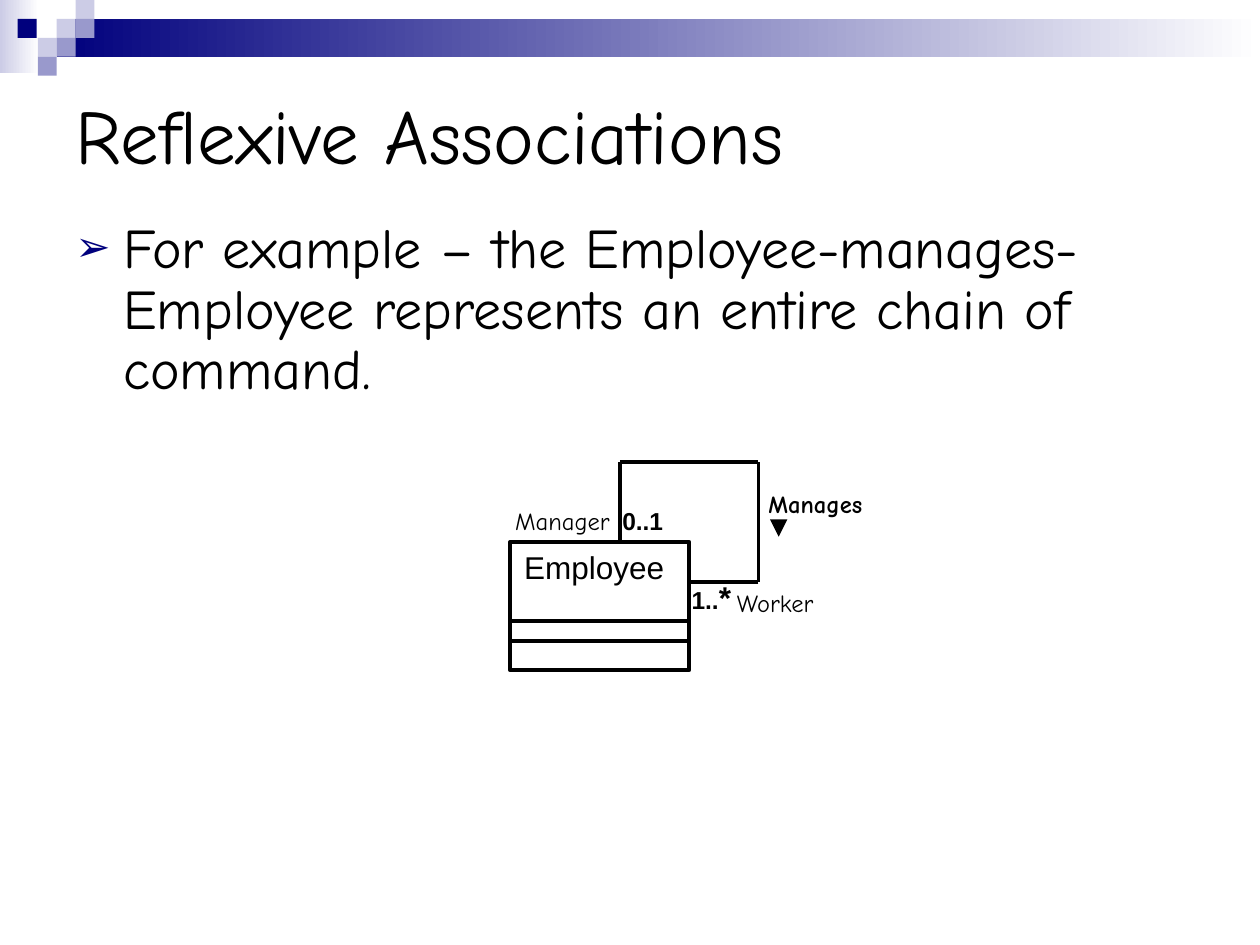
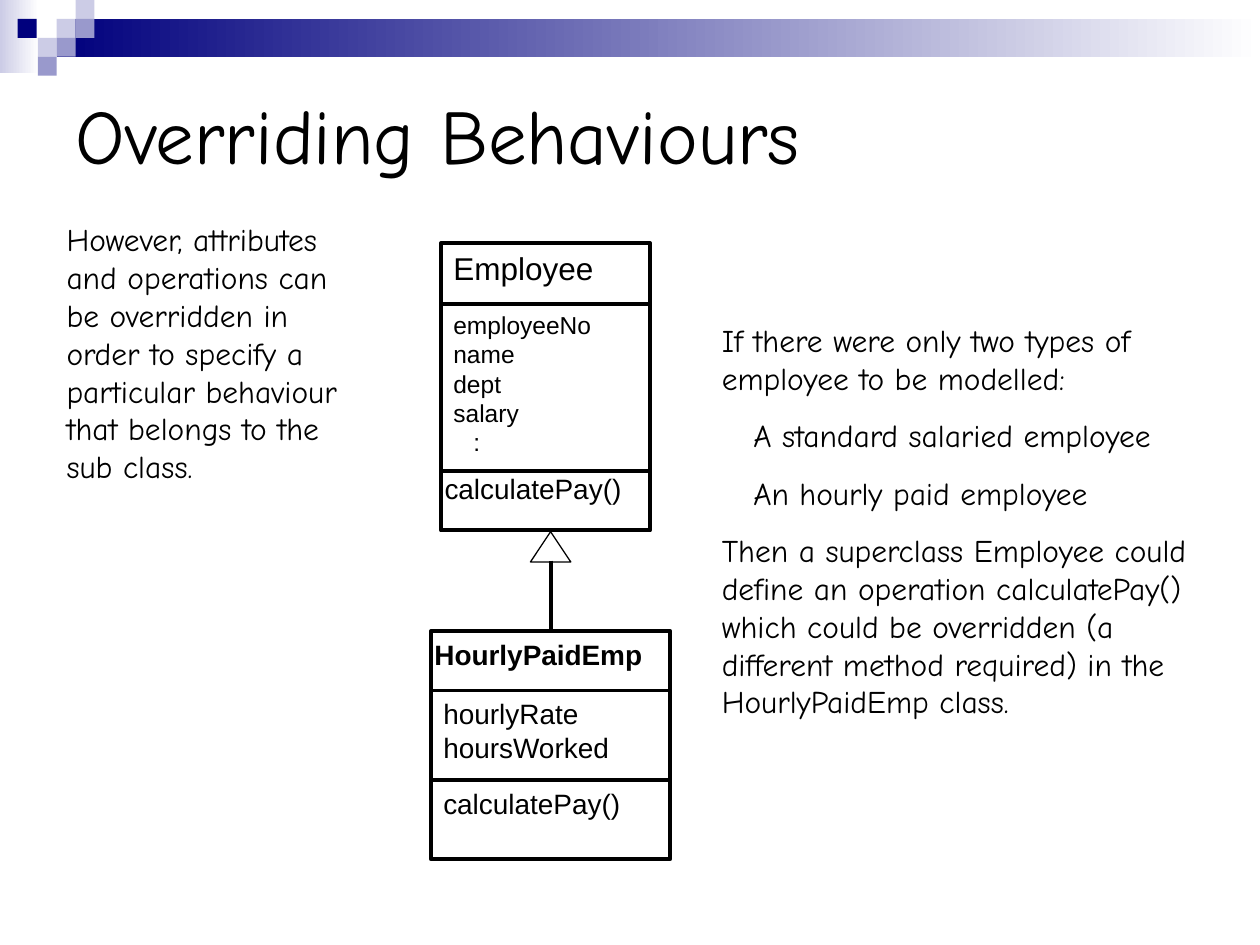
from lxml import etree
from pptx import Presentation
from pptx.dml.color import RGBColor
from pptx.enum.shapes import MSO_CONNECTOR, MSO_SHAPE
from pptx.enum.text import MSO_ANCHOR, MSO_AUTO_SIZE, PP_ALIGN
from pptx.oxml.ns import qn
from pptx.util import Inches, Pt

RECT, TRIANGLE = MSO_SHAPE.RECTANGLE, MSO_SHAPE.ISOSCELES_TRIANGLE
STRAIGHT = MSO_CONNECTOR.STRAIGHT
TITLE_ONLY = 5
COMIC, ARIAL = "Comic Neue", "Arial"
COLORS = {"ink": "000000", "navy": "00007D", "mid": "9999CC", "pale": "CCCCE6", "white": "FFFFFF"}

# Band behind every slide: left, top, width, height, colour(s)
TILE = 0.15
BAND = [
    (0, 0, 0.31, 0.58, ("pale", "white")),
    (0.45, 0.15, 9.55, 0.3, ("navy", "white")),
    (0.45, 0.15, TILE, TILE, "pale"),
    (0.6, 0, TILE, TILE, "pale"),
    (0.6, 0.15, TILE, TILE, "mid"),
    (0.3, 0.3, TILE, TILE, "pale"),
    (0.14, 0.15, TILE, TILE, "navy"),
    (0.45, 0.3, TILE, TILE, "mid"),
    (0.3, 0.45, TILE, TILE, "mid"),
]

# Class boxes: left, top, width, height, heights of the dividers
REFLEXIVE_CLASS = (4.05, 4.3, 1.42, 1.02, (4.93, 5.09))
SUPERCLASS = (3.5, 1.93, 1.66, 2.28, (2.41, 3.74))
SUBCLASS = (3.42, 5.01, 1.9, 1.81, (5.48, 6.19))

# Corners of the line that leads from Employee back to Employee
LOOP = [(4.92, 4.3), (4.92, 3.67), (6.02, 3.67), (6.02, 4.62), (5.47, 4.62)]

# Texts: place, paragraphs, size, font, then options
REFLEXIVE_BODY = ((0.5, 1.7, 9, 1.65),
                  ["For example – the Employee-manages-Employee represents an entire chain of command."],
                  32, COMIC, {"before": 8, "spacing": 0.9})
REFLEXIVE_LABELS = [
    ((3.97, 4.3, 1.49, 0.4), ["Employee"], 18, ARIAL, {"before": 11.2, "align": PP_ALIGN.CENTER}),
    ((5.75, 4.62, 0.95, 0.34), ["Worker"], 14, COMIC, {"before": 8.8}),
    ((3.99, 3.97, 1.05, 0.34), ["Manager"], 14, COMIC, {"before": 8.8}),
    ((6, 3.83, 1.2, 0.34), ["Manages"], 14, COMIC, {"before": 8.8, "bold": True}),
    ((4.84, 3.97, 0.55, 0.34), ["0..1"], 14, ARIAL, {"before": 8.8, "bold": True}),
]
WORKER_COUNT = ((5.39, 4.54, 0.55, 0.4), ["1.."], 14, ARIAL, {"before": 11.2, "bold": True})
OVERRIDING_TEXTS = [
    ((0.43, 1.7, 2.6, 2.2),
     ["However, attributes and operations can be overridden in order to specify "
      "a particular behaviour that belongs to the sub class."], 18, COMIC, {"before": 11.2}),
    ((3.5, 1.93, 1.34, 0.4), ["Employee"], 18, ARIAL, {"before": 11.2}),
    ((3.5, 2.41, 1.5, 1.27), ["employeeNo", "name", "dept", "salary", ":"], 14, ARIAL,
     {"indents": {4: 0.16}}),
    ((3.43, 3.69, 1.73, 0.37), ["calculatePay()"], 16, ARIAL, {}),
    ((3.35, 5.01, 2.13, 0.37), ["HourlyPaidEmp"], 16, ARIAL, {"before": 10, "bold": True}),
    ((3.42, 5.48, 2.05, 0.64), ["hourlyRate", "hoursWorked"], 16, ARIAL, {}),
    ((3.42, 6.19, 1.73, 0.37), ["calculatePay()"], 16, ARIAL, {"before": 10}),
    ((5.63, 2.5, 4.02, 3.73),
     ["If there were only two types of employee to be modelled:",
      "A standard salaried employee",
      "An hourly paid employee",
      "Then a superclass Employee could define an operation calculatePay() which could be "
      "overridden (a different method required) in the HourlyPaidEmp class."],
     18, COMIC, {"before": 11.2, "indents": {1: 0.25, 2: 0.25}}),
]


def rgb(name):
    return RGBColor.from_string(COLORS[name])


def inches(values):
    return [Inches(v) for v in values]


def style_run(r, size, font, bold=False):
    r.font.size, r.font.name, r.font.bold = Pt(size), font, bold
    r.font.color.rgb = rgb("ink")


def add_band(s, layout):
    """Draw the band once and hand it to the layout, behind its placeholders."""
    group = s.shapes.add_group_shape()
    for *place, color in BAND:
        sp = group.shapes.add_shape(RECT, *inches(place))
        sp.shadow.inherit = False
        sp.line.fill.background()
        if isinstance(color, tuple):
            sp.fill.gradient()
            sp.fill.gradient_angle = 0
            for stop, name in zip(sp.fill.gradient_stops, color):
                stop.color.rgb = rgb(name)
        else:
            sp.fill.solid()
            sp.fill.fore_color.rgb = rgb(color)
    for number, props in enumerate(group.element.iter(qn("p:cNvPr")), 100):
        props.set("id", str(number))
    layout.shapes.element.insert(2, group.element)


def add_title(s, text):
    title = s.shapes.title
    title.left, title.top, title.width, title.height = inches((0.5, 0.5, 9, 1.12))
    tf = title.text_frame
    tf.text = text
    tf.auto_size = MSO_AUTO_SIZE.NONE
    tf.vertical_anchor = MSO_ANCHOR.MIDDLE
    p = tf.paragraphs[0]
    p.alignment = PP_ALIGN.LEFT
    style_run(p.runs[0], 44, COMIC)


def add_text(s, place, paragraphs, size, font, options):
    tf = s.shapes.add_textbox(*inches(place)).text_frame
    tf.text = "\n".join(paragraphs)
    tf.word_wrap = True
    tf.auto_size = MSO_AUTO_SIZE.SHAPE_TO_FIT_TEXT
    indents = options.get("indents", {})
    for i, p in enumerate(tf.paragraphs):
        p.alignment = options.get("align", PP_ALIGN.LEFT)
        p.space_before = Pt(options.get("before", 0))
        p.line_spacing = options.get("spacing", 1.0)
        if i in indents:
            p._p.get_or_add_pPr().set("marL", str(Inches(indents[i])))
        style_run(p.runs[0], size, font, options.get("bold", False))
    return tf


def add_bullet(p, char, hang):
    pPr = p._p.get_or_add_pPr()
    pPr.set("marL", str(Inches(hang)))
    pPr.set("indent", str(-Inches(hang)))
    color = etree.SubElement(pPr, qn("a:buClr"))
    etree.SubElement(color, qn("a:srgbClr"), val=COLORS["navy"])
    etree.SubElement(pPr, qn("a:buSzPct"), val="75000")
    etree.SubElement(pPr, qn("a:buFont"), typeface=ARIAL)
    etree.SubElement(pPr, qn("a:buChar"), char=char)


def add_line(s, start, end, width=2.25):
    line = s.shapes.add_connector(STRAIGHT, *inches((*start, *end)))
    line.line.color.rgb = rgb("ink")
    line.line.width = Pt(width)
    etree.SubElement(line.element.spPr, qn("a:effectLst"))
    return line


def add_outline(s, kind, place, width=2.25):
    sp = s.shapes.add_shape(kind, *inches(place))
    sp.shadow.inherit = False
    sp.fill.background()
    sp.line.color.rgb = rgb("ink")
    sp.line.width = Pt(width)
    return sp


def add_class(s, left, top, width, height, dividers):
    box = add_outline(s, RECT, (left, top, width, height))
    for y in dividers:
        add_line(s, (left, y), (left + width, y))
    return box


def build_reflexive(s):
    add_title(s, "Reflexive Associations")
    tf = add_text(s, *REFLEXIVE_BODY)
    add_bullet(tf.paragraphs[0], "➢", 0.38)

    # Class and its loop
    add_class(s, *REFLEXIVE_CLASS)
    for start, end in zip(LOOP, LOOP[1:]):
        add_line(s, start, end)

    # Role names and counts
    for label in REFLEXIVE_LABELS:
        add_text(s, *label)
    r = add_text(s, *WORKER_COUNT).paragraphs[0].add_run()
    r.text = "*"
    style_run(r, 18, ARIAL, True)

    # Reading direction of "Manages"
    arrow = add_line(s, (6.18, 4.26), (6.18, 4.18), 0.75)
    ln = arrow.element.spPr.find(qn("a:ln"))
    etree.SubElement(ln, qn("a:headEnd"), type="triangle", w="lg", len="lg")


def build_overriding(s):
    add_title(s, "Overriding Behaviours")
    add_class(s, *SUPERCLASS)
    subclass = add_class(s, *SUBCLASS)

    # Inheritance arrow
    add_outline(s, TRIANGLE, (4.21, 4.22, 0.32, 0.24), 0.75)
    add_line(s, (4.37, 4.45), (4.37, 5.01)).end_connect(subclass, 0)

    for text in OVERRIDING_TEXTS:
        add_text(s, *text)


def main():
    prs = Presentation()
    prs.slide_width, prs.slide_height = Inches(10), Inches(7.5)
    layout = prs.slide_layouts[TITLE_ONLY]
    slides = [prs.slides.add_slide(layout) for _ in range(2)]
    add_band(slides[0], layout)
    build_reflexive(slides[0])
    build_overriding(slides[1])
    prs.save("out.pptx")


if __name__ == "__main__":
    main()
